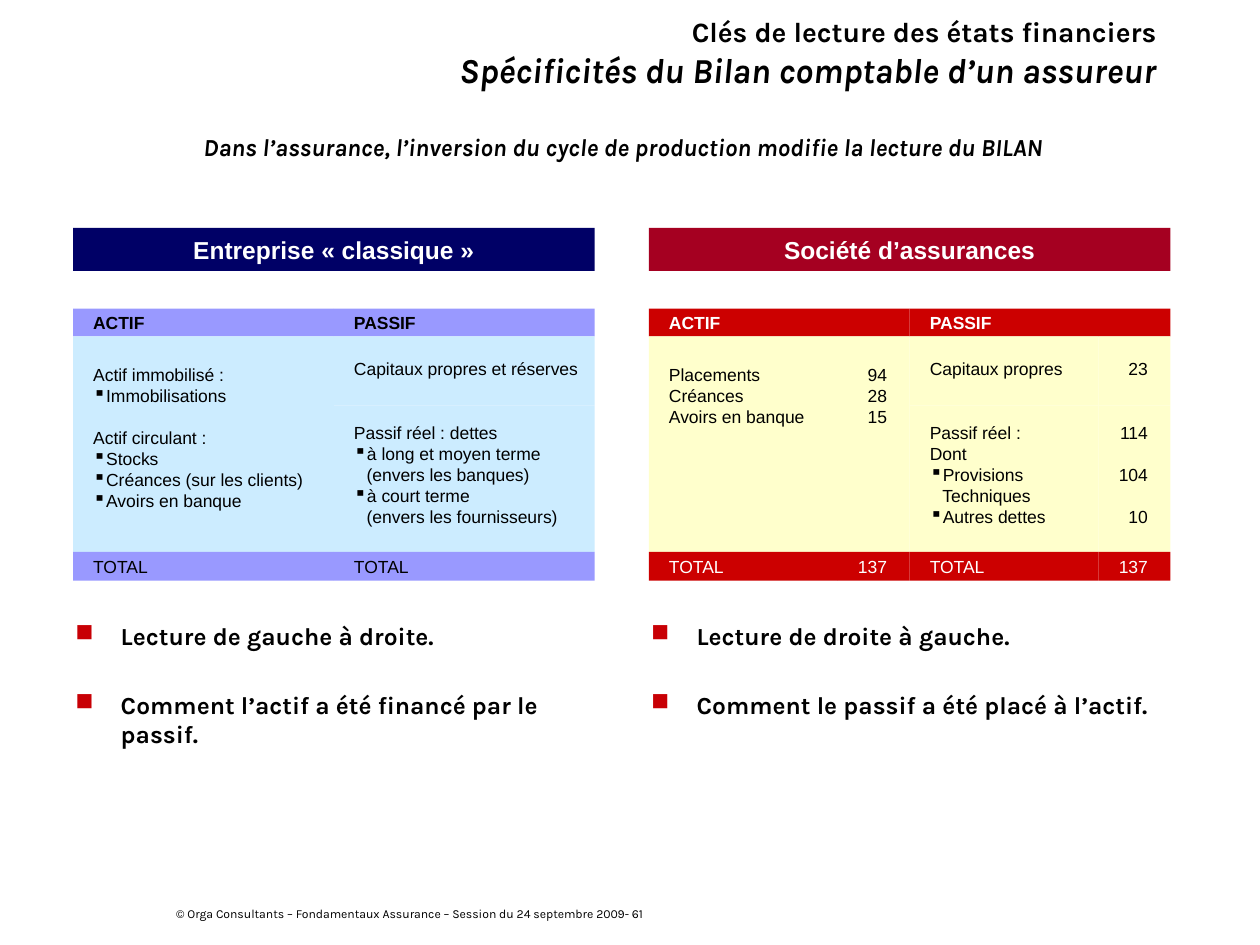
from lxml.etree import SubElement
from pptx import Presentation
from pptx.dml.color import RGBColor
from pptx.enum.shapes import MSO_SHAPE
from pptx.enum.text import MSO_ANCHOR, PP_ALIGN
from pptx.oxml.ns import qn
from pptx.util import Inches, Pt

LEFT, CENTER, RIGHT = PP_ALIGN.LEFT, PP_ALIGN.CENTER, PP_ALIGN.RIGHT

# Grid: two balance sheets, each with two columns and shared row edges
SHEETS = [0.58, 5.15]
COLUMN, AMOUNT = 2.07, 0.57
BANNER, HEAD, BODY, SPLIT, TOTAL, END = 1.81, 2.45, 2.67, 3.22, 4.38, 4.61
LINE = 12  # points between two lines of table text

deck = Presentation()
deck.slide_width, deck.slide_height = Inches(10), Inches(7.5)
slide = deck.slides.add_slide(deck.slide_layouts[6])


def color(code):
    return RGBColor.from_string(code)


def put(at, lines, fill=None, ink="000000", size=10, font="Arial", bold=False,
        italic=False, align=LEFT, anchor=MSO_ANCHOR.TOP, side=(0.06, 0.06),
        top=0.05, indent=(0, 0), mark_color=None, wrap=True):
    """Add a text block; a line is text or (text, bullet, points before)."""
    box = [Inches(length) for length in at]
    if fill:
        shape = slide.shapes.add_shape(MSO_SHAPE.RECTANGLE, *box)
        shape.shadow.inherit = False
        shape.fill.solid()
        shape.fill.fore_color.rgb = color(fill)
        shape.line.fill.background()
    else:
        shape = slide.shapes.add_textbox(*box)
    frame = shape.text_frame
    frame.word_wrap = wrap
    frame.vertical_anchor = anchor
    frame.margin_left, frame.margin_right = Inches(side[0]), Inches(side[1])
    frame.margin_top, frame.margin_bottom = Inches(top), Inches(0.05)
    for number, line in enumerate(lines):
        text, mark, before = (line, None, 0) if isinstance(line, str) else line
        paragraph = frame.add_paragraph() if number else frame.paragraphs[0]
        paragraph.alignment = align
        paragraph.space_before = Pt(before)
        props = paragraph._p.get_or_add_pPr()
        props.set("marL", str(Inches(indent[0])))
        props.set("indent", str(Inches(indent[1])))
        if mark:
            if mark_color:
                tint = SubElement(props, qn("a:buClr"))
                SubElement(tint, qn("a:srgbClr")).set("val", mark_color)
            SubElement(props, qn("a:buChar")).set("char", mark)
        for row, part in enumerate(text.split("\n")):
            if row:
                paragraph.add_line_break()
            run = paragraph.add_run()
            run.text = part
            run.font.name, run.font.size = font, Pt(size)
            run.font.bold, run.font.italic = bold, italic
            run.font.color.rgb = color(ink)
    return frame


# Footer, title and key message
put((1.3, 7.14, 7.09, 0.23),
    ["© Orga Consultants – Fondamentaux Assurance – Session du 24 septembre 2009- 61"],
    size=7, font="Karla", side=(0.1, 0.1))
title = put((0.78, 0, 8.5, 0.83),
            ["Clés de lecture des états financiers", "Spécificités du Bilan comptable d’un assureur"],
            size=16, font="Karla", bold=True, align=RIGHT, anchor=MSO_ANCHOR.MIDDLE, side=(0.1, 0.1))
subtitle = title.paragraphs[1].runs[0].font
subtitle.size, subtitle.italic = Pt(20), True
put((0.58, 1, 8.74, 0.33),
    ["Dans l’assurance, l’inversion du cycle de production modifie la lecture du BILAN"],
    size=14, font="Karla", bold=True, italic=True, align=CENTER, side=(0.1, 0.1))

# Per sheet: banner, colours, the three content blocks, reading notes
sheets = [
    dict(name="Entreprise «\u00a0classique\u00a0»", banner="000066", band="9999FF", band_ink="000000",
         cell="CCECFF",
         assets=["Actif immobilisé :", ("Immobilisations", "▪", 0),
                 ("Actif circulant :", None, LINE), ("Stocks", "▪", 0),
                 ("Créances (sur les clients)", "▪", 0), ("Avoirs en banque", "▪", 0)],
         equity="Capitaux propres et réserves",
         debts=["Passif réel : dettes", ("à long et moyen terme\n(envers les banques)", "▪", 0),
                ("à court terme\n(envers les fournisseurs)", "▪", 0)],
         asset_indent=(0.2, -0.1), amounts=None,
         notes=["Lecture de gauche à droite.", "Comment l’actif a été financé par le passif."]),
    dict(name="Société d’assurances", banner="A50021", band="CC0000", band_ink="FFFFFF",
         cell="FFFFCC",
         assets=["Placements", "Créances", "Avoirs en banque"],
         equity="Capitaux propres",
         debts=["Passif réel :", "Dont", ("Provisions Techniques", "▪", 0), ("Autres dettes", "▪", 0)],
         asset_indent=(0.1, 0),
         amounts=dict(assets=["94", "28", "15"], equity=["23"],
                      debts=["114", ("104", None, LINE), ("10", None, LINE)], total=["137"]),
         notes=["Lecture de droite à gauche.", "Comment le passif a été placé à l’actif."]),
]

for left, sheet in zip(SHEETS, sheets):
    right = left + COLUMN
    amounts = sheet["amounts"]
    label_width = COLUMN - AMOUNT if amounts else COLUMN
    band = dict(fill=sheet["band"], ink=sheet["band_ink"], anchor=MSO_ANCHOR.MIDDLE)

    put((left, BANNER, 2 * COLUMN, 0.34), [sheet["name"]], fill=sheet["banner"], ink="FFFFFF",
        size=14, bold=True, align=CENTER, anchor=MSO_ANCHOR.MIDDLE, wrap=False)
    for x, heading in ((left, "ACTIF"), (right, "PASSIF")):
        put((x, HEAD, COLUMN, BODY - HEAD), [heading], bold=True, indent=(0.1, 0), **band)

    # Content blocks: key, column, top, bottom, text inset, lines, indent
    blocks = [
        ("assets", left, BODY, TOTAL, 0.22, sheet["assets"], sheet["asset_indent"]),
        ("equity", right, BODY, SPLIT, 0.17, [sheet["equity"]], (0.1, 0)),
        ("debts", right, SPLIT, TOTAL, 0.13, sheet["debts"], (0.2, -0.1)),
    ]
    for key, x, start, stop, inset, lines, indent in blocks:
        put((x, start, label_width, stop - start), lines, fill=sheet["cell"], top=inset, indent=indent)
        if amounts:
            put((x + label_width, start, AMOUNT, stop - start), amounts[key], fill=sheet["cell"],
                top=inset, align=RIGHT, side=(0.06, 0.18))

    # Total row
    for x in (left, right):
        put((x, TOTAL, label_width, END - TOTAL), ["TOTAL"], indent=(0.1, 0), **band)
        if amounts:
            put((x + label_width, TOTAL, AMOUNT, END - TOTAL), amounts["total"],
                align=RIGHT, side=(0.06, 0.18), **band)

    # Reading notes
    first, second = sheet["notes"]
    put((left - 0.08, 4.6, 4.42, 2.4), [(first, "■", 0), (second, "■", 22.5)], size=14, font="Karla",
        bold=True, side=(0.1, 0.1), top=0.33, indent=(0.36, -0.36), mark_color="C80005")

deck.save("out.pptx")
